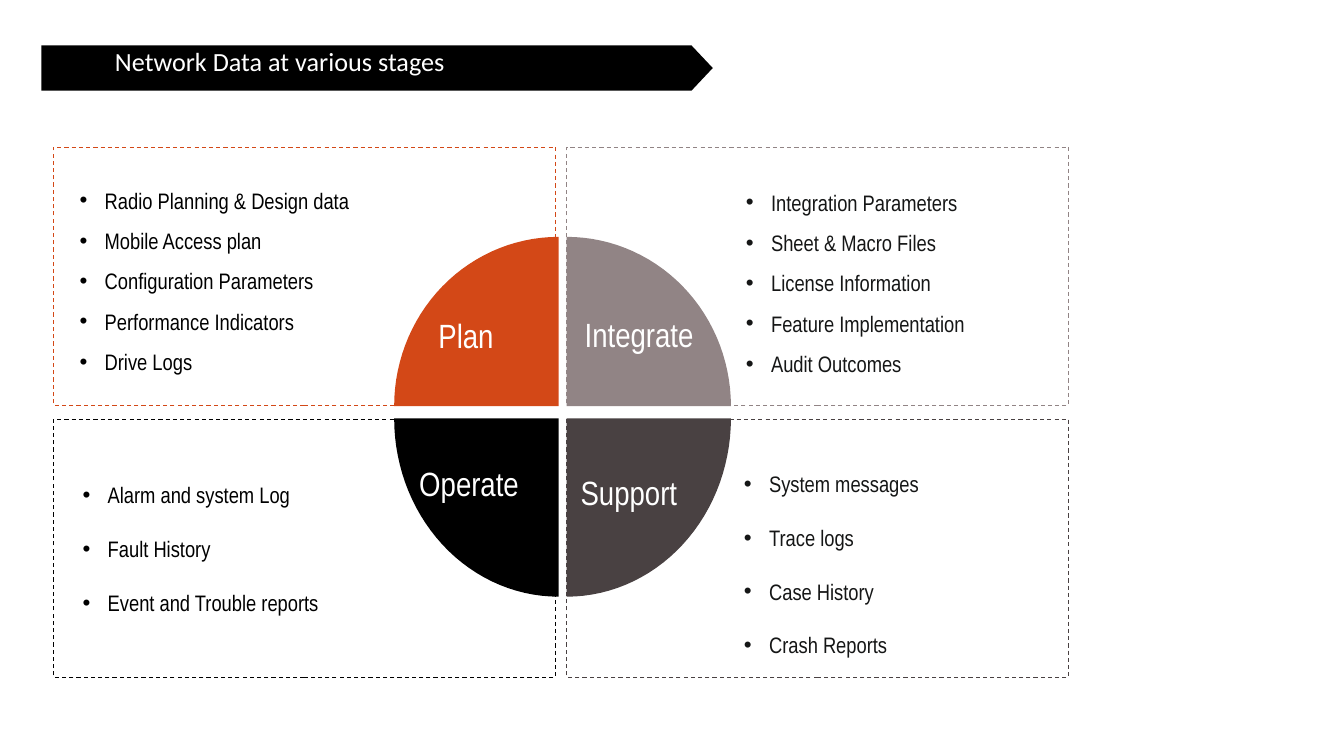
import math
from dataclasses import dataclass

from lxml import etree
from pptx import Presentation
from pptx.dml.color import RGBColor
from pptx.enum.dml import MSO_LINE
from pptx.enum.shapes import MSO_SHAPE
from pptx.enum.text import MSO_ANCHOR, MSO_AUTO_SIZE, PP_ALIGN
from pptx.oxml.ns import qn
from pptx.util import Inches, Pt

DASH = MSO_LINE.DASH
RECTANGLE, ARROW = MSO_SHAPE.RECTANGLE, MSO_SHAPE.RIGHT_ARROW
TOP, MIDDLE = MSO_ANCHOR.TOP, MSO_ANCHOR.MIDDLE
GROW = MSO_AUTO_SIZE.SHAPE_TO_FIT_TEXT
LEFT = PP_ALIGN.LEFT
TITLE_ONLY = 5


@dataclass(frozen=True)
class Theme:
    black: str = "000000"
    white: str = "FFFFFF"
    ink: str = "151616"
    orange: str = "D34817"
    grey: str = "918485"
    dark: str = "494142"
    title_font: str = "Calibri"
    body_font: str = "Arial Narrow"
    title_size: float = 18.7
    label_size: float = 24
    list_size: float = 16


THEME = Theme()


@dataclass(frozen=True)
class Stage:
    name: str
    column: int
    row: int
    color: str
    label_area: tuple
    list_area: tuple
    list_color: str
    spacing: float
    items: tuple


STAGES = (
    Stage("Plan", 0, 0, THEME.orange, (4.25, 3.08, 0.78, 0.48),
          (0.69, 1.72, 3.09, 2), THEME.black, 1.5,
          ("Radio Planning & Design data", "Mobile Access plan",
           "Configuration Parameters", "Performance Indicators", "Drive Logs")),
    Stage("Integrate", 1, 0, THEME.grey, (5.7, 3.07, 1.43, 0.48),
          (7.3, 1.74, 2.64, 2), THEME.ink, 1.5,
          ("Integration Parameters", "Sheet & Macro Files",
           "License Information", "Feature Implementation", "Audit Outcomes")),
    Stage("Support", 1, 1, THEME.dark, (5.66, 4.64, 1.28, 0.48),
          (7.28, 4.42, 2.01, 2.09), THEME.ink, 2.0,
          ("System messages", "Trace logs", "Case History", "Crash Reports")),
    Stage("Operate", 0, 1, THEME.black, (4.06, 4.55, 1.3, 0.48),
          (0.72, 4.52, 2.78, 1.58), THEME.black, 2.0,
          ("Alarm and system Log", "Fault History", "Event and Trouble reports")),
)

FRAME_LEFTS, FRAME_TOPS, FRAME_SIZE = (0.53, 5.62), (1.46, 4.16), (4.98, 2.56)
WEDGE_XS, WEDGE_YS = (5.54, 5.62), (4.03, 4.15)
WEDGE_WIDTH, WEDGE_HEIGHTS = 1.63, (1.68, 1.77)
ARC_STEP = 3


def inches(values):
    return [Inches(value) for value in values]


def set_fill(shape, color):
    shape.shadow.inherit = False
    shape.fill.solid()
    shape.fill.fore_color.rgb = RGBColor.from_string(color)
    shape.line.fill.background()


def write_lines(frame, lines, font, size, color, anchor=MIDDLE, spacing=1.0):
    """Fill a text frame with one paragraph per line and return the paragraphs."""
    formats = {"word_wrap": False, "auto_size": GROW, "vertical_anchor": anchor}
    for name, value in formats.items():
        setattr(frame, name, value)
    frame.text = "\n".join(lines)
    for para in frame.paragraphs:
        para.alignment = LEFT
        para.line_spacing = spacing
        span = para.runs[0]
        for name, value in {"name": font, "size": Pt(size)}.items():
            setattr(span.font, name, value)
        span.font.color.rgb = RGBColor.from_string(color)
    return frame.paragraphs


def add_bullet(para):
    properties = para._p.get_or_add_pPr()
    properties.set("marL", str(Inches(0.25)))
    properties.set("indent", str(Inches(-0.25)))
    etree.SubElement(properties, qn("a:buFont"), typeface="Arial")
    etree.SubElement(properties, qn("a:buChar"), char="•")


def add_wedge(slide, stage):
    """Draw a quarter ellipse that opens away from the middle of the wheel."""
    center_x, center_y = WEDGE_XS[stage.column], WEDGE_YS[stage.row]
    radius_x = WEDGE_WIDTH * (2 * stage.column - 1)
    radius_y = WEDGE_HEIGHTS[stage.row] * (2 * stage.row - 1)
    angles = [math.radians(degree) for degree in range(0, 91, ARC_STEP)]
    points = [inches((center_x + radius_x * math.cos(angle),
                      center_y + radius_y * math.sin(angle)))
              for angle in angles]
    builder = slide.shapes.build_freeform(Inches(center_x), Inches(center_y))
    builder.add_line_segments(points, close=True)
    set_fill(builder.convert_to_shape(), stage.color)


def add_label(slide, stage):
    box = slide.shapes.add_textbox(*inches(stage.label_area))
    write_lines(box.text_frame, [stage.name], THEME.body_font,
                THEME.label_size, THEME.white)


def add_frame(slide, stage):
    area = (FRAME_LEFTS[stage.column], FRAME_TOPS[stage.row], *FRAME_SIZE)
    frame = slide.shapes.add_shape(RECTANGLE, *inches(area))
    frame.shadow.inherit = False
    frame.fill.background()
    frame.line.color.rgb = RGBColor.from_string(stage.color)
    frame.line.width = Pt(0.75)
    frame.line.dash_style = DASH


def add_list(slide, stage):
    box = slide.shapes.add_textbox(*inches(stage.list_area))
    for para in write_lines(box.text_frame, stage.items, THEME.body_font,
                            THEME.list_size, stage.list_color,
                            spacing=stage.spacing):
        add_bullet(para)


def add_title(slide, text):
    """Place the title on an arrow banner."""
    banner = slide.shapes.add_shape(ARROW, *inches((0.41, 0.45, 6.66, 0.45)))
    banner.adjustments[0], banner.adjustments[1] = 1, 0.47
    set_fill(banner, THEME.black)
    title = slide.shapes.title
    banner.element.addnext(title.element)
    area = dict(zip(("left", "top", "width", "height"),
                    inches((1.04, 0.4, 3.83, 0.42))))
    for name, value in area.items():
        setattr(title, name, value)
    write_lines(title.text_frame, [text], THEME.title_font, THEME.title_size,
                THEME.white, anchor=TOP)


def main():
    deck = Presentation()
    deck.slide_width, deck.slide_height = inches((13.33, 7.5))
    slide = deck.slides.add_slide(deck.slide_layouts[TITLE_ONLY])
    for add_part in (add_wedge, add_label, add_frame, add_list):
        for stage in STAGES:
            add_part(slide, stage)
    add_title(slide, "Network Data at various stages")
    deck.save("out.pptx")


if __name__ == "__main__":
    main()
